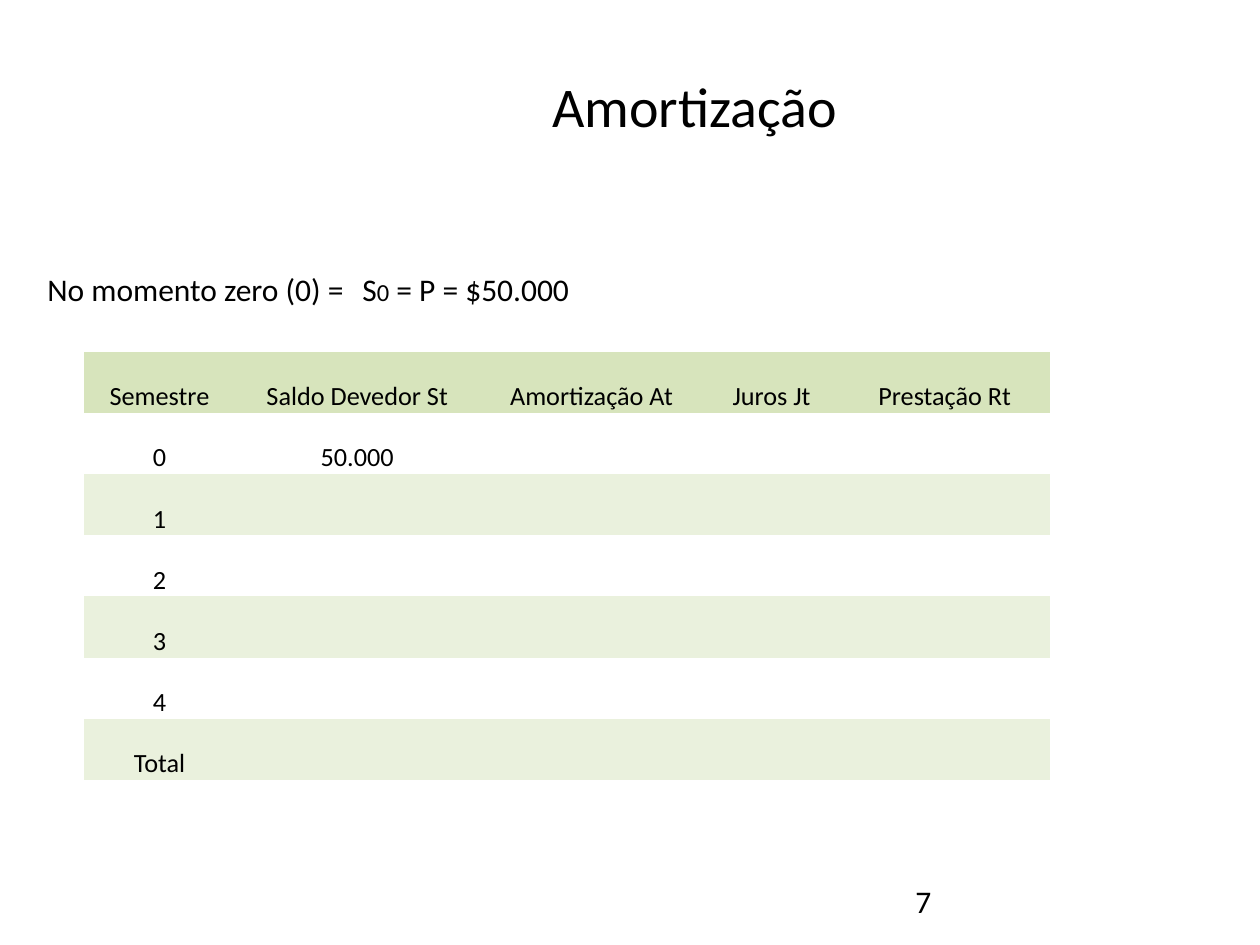
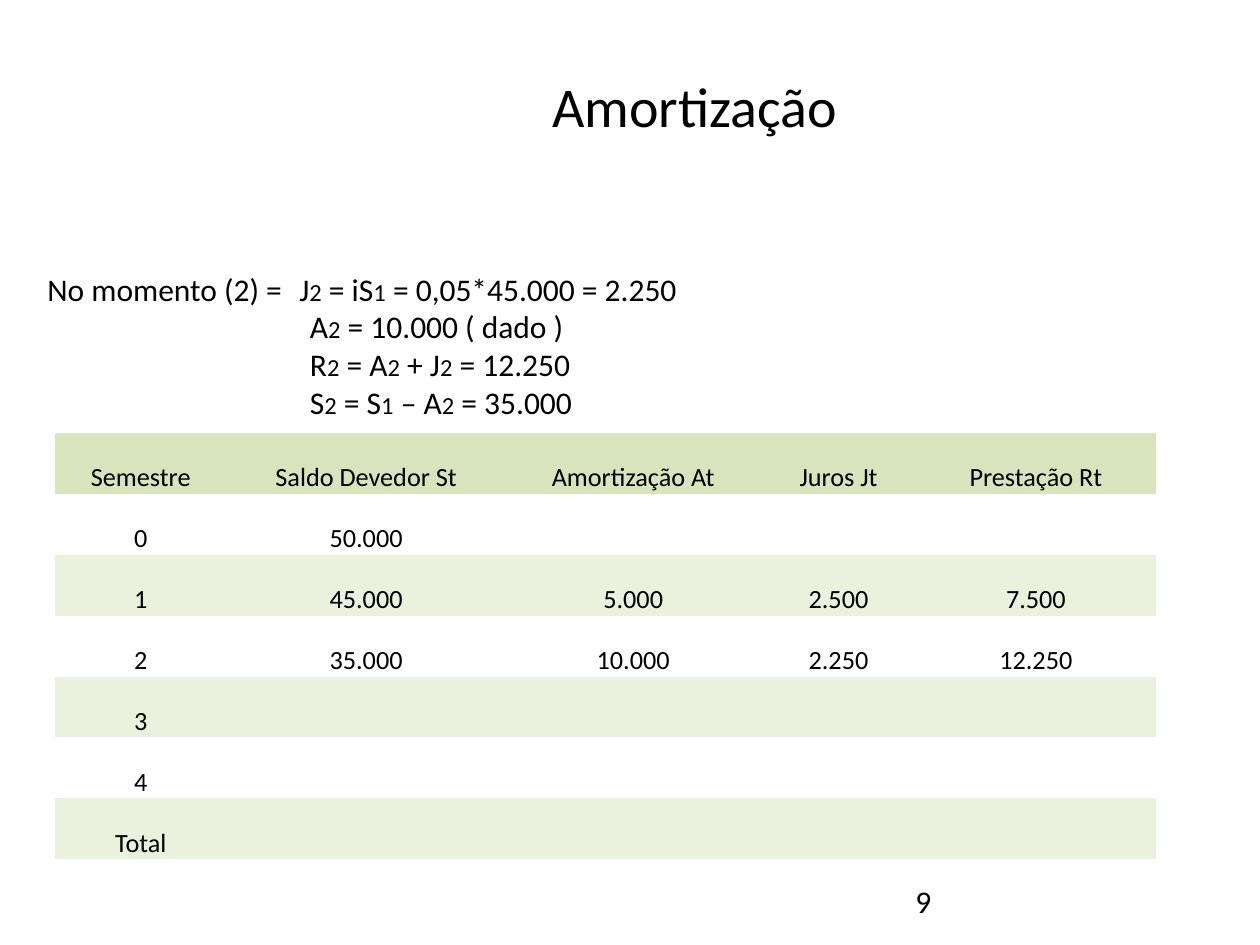
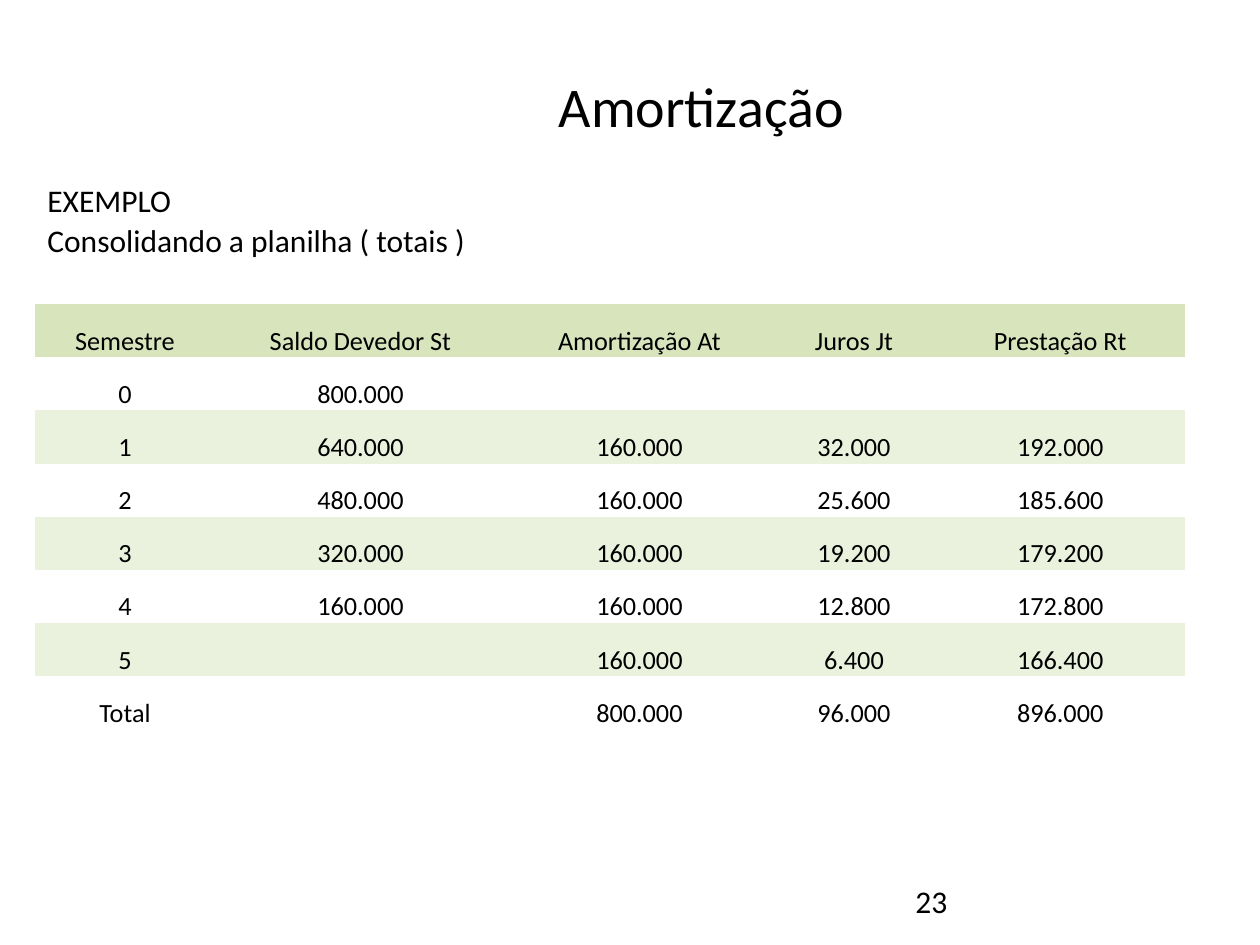
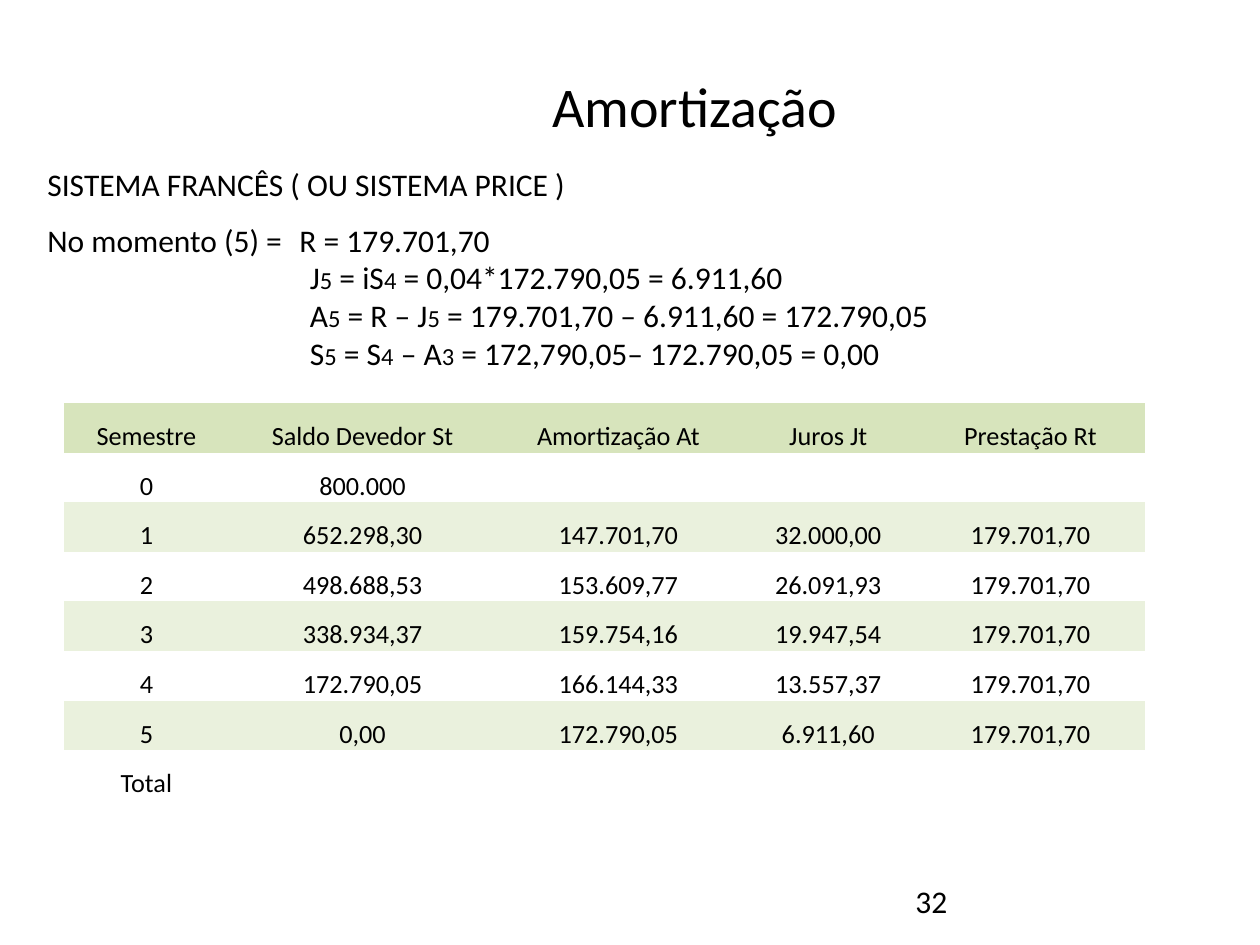
from collections import namedtuple
from dataclasses import dataclass

from pptx import Presentation
from pptx.dml.color import RGBColor
from pptx.enum.text import MSO_ANCHOR as Anchor, PP_ALIGN as Align
from pptx.oxml.ns import qn
from pptx.oxml.xmlchemy import OxmlElement
from pptx.util import Pt

Box = namedtuple("Box", "left top width height")


@dataclass(frozen=True)
class Theme:
    font: str = "Calibri"
    ink: RGBColor = RGBColor(0, 0, 0)
    header: RGBColor = RGBColor(0xD7, 0xE4, 0xBC)
    band: RGBColor = RGBColor(0xEA, 0xF1, 0xDD)
    title_size: int = 32
    body_size: int = 18
    subscript_size: int = 14
    table_size: int = 15


THEME = Theme()
TITLE_BOX = Box(65.5, 37.5, 663, 62.5)
NUMBER_BOX = Box(516, 500.5, 168, 29)
BODY_LEFT, BODY_WIDTH = 20, 692
FORMULA_INDENT = 150
NO_GRID_STYLE = "{2D5ABB26-0587-4C30-8999-92F81FD0307C}"
HEADINGS = ["Semestre", "Saldo Devedor St", "Amortização At", "Juros Jt", "Prestação Rt"]
COLUMN_WEIGHTS = (1.2, 1.94, 1.78, 1.08, 1.67)


def write_paragraph(paragraph, text, size=THEME.body_size, align=Align.LEFT, indent=0, tab=None):
    """Write text; the parts between underscores are set as small indices."""
    paragraph.alignment = align
    properties = paragraph._p.get_or_add_pPr()
    properties.set("marL", str(Pt(indent)))
    properties.set("indent", "0")
    if tab:
        tab_list = OxmlElement("a:tabLst")
        stop = OxmlElement("a:tab")
        stop.set("pos", str(Pt(tab)))
        stop.set("algn", "l")
        tab_list.append(stop)
        properties.append(tab_list)
    for index, part in enumerate(text.split("_")):
        if part:
            run = paragraph.add_run()
            run.text = part
            run.font.name = THEME.font
            run.font.size = Pt(THEME.subscript_size if index % 2 else size)
            run.font.color.rgb = THEME.ink


def add_text(slide, box, lines, tab=None, hanging=0, **style):
    """Add a text box; lines after the first are indented by hanging."""
    frame = slide.shapes.add_textbox(*map(Pt, box)).text_frame
    frame.word_wrap = True
    for index, line in enumerate(lines):
        paragraph = frame.add_paragraph() if index else frame.paragraphs[0]
        if index:
            write_paragraph(paragraph, line, **{**style, "indent": hanging})
        else:
            write_paragraph(paragraph, line, tab=tab, **style)


def add_body(slide, top, height, *lines, **style):
    add_text(slide, Box(BODY_LEFT, top, BODY_WIDTH, height), lines, **style)


def add_schedule(slide, box, rows, weights=COLUMN_WEIGHTS):
    """Add the amortization table, with every second row after the header shaded."""
    rows = [HEADINGS, *rows]
    graphic = slide.shapes.add_table(len(rows), len(HEADINGS), *map(Pt, box))
    next(graphic._element.iter(qn("a:tableStyleId"))).text = NO_GRID_STYLE
    table = graphic.table
    table.first_row = table.horz_banding = False
    for column, weight in zip(table.columns, weights):
        column.width = Pt(box.width * weight / sum(weights))
    for row_index, values in enumerate(rows):
        table.rows[row_index].height = Pt(box.height / len(rows))
        for column_index in range(len(HEADINGS)):
            cell = table.cell(row_index, column_index)
            cell.vertical_anchor = Anchor.BOTTOM
            cell.margin_left = cell.margin_right = cell.margin_top = Pt(0.7)
            cell.margin_bottom = 0
            if row_index % 2:
                cell.fill.background()
            else:
                cell.fill.solid()
                cell.fill.fore_color.rgb = THEME.band if row_index else THEME.header
            value = values[column_index] if column_index < len(values) else ""
            write_paragraph(cell.text_frame.paragraphs[0], value,
                            size=THEME.table_size, align=Align.CENTER)


def add_slide(presentation, number, title_indent=0):
    slide = presentation.slides.add_slide(presentation.slide_layouts[6])
    add_text(slide, NUMBER_BOX, [number])
    add_text(slide, TITLE_BOX, ["Amortização"], size=THEME.title_size,
             align=Align.CENTER, indent=title_indent)
    return slide


def build_moment_zero(presentation):
    slide = add_slide(presentation, "7")
    add_body(slide, 150.5, 51, "No momento zero (0) =\tS_0_ = P = $50.000", tab=185.5)
    add_schedule(slide, Box(48, 201, 552, 244.8),
                 [["0", "50.000"], ["1"], ["2"], ["3"], ["4"], ["Total"]])


def build_moment_two(presentation):
    slide = add_slide(presentation, "9")
    add_body(slide, 150.5, 116.5,
             "No momento (2) =\tJ_2_ = iS_1_ = 0,05*45.000 = 2.250",
             "A_2_ = 10.000 ( dado )",
             "R_2_ = A_2_ + J_2_ = 12.250",
             "S_2_ = S_1_ – A_2_ = 35.000",
             tab=FORMULA_INDENT, hanging=FORMULA_INDENT)
    add_schedule(slide, Box(31.2, 247.5, 629.3, 243.6), [
        ["0", "50.000"],
        ["1", "45.000", "5.000", "2.500", "7.500"],
        ["2", "35.000", "10.000", "2.250", "12.250"],
        ["3"], ["4"], ["Total"],
    ])


def build_totals(presentation):
    slide = add_slide(presentation, "23", title_indent=7.5)
    add_body(slide, 100, 51, "EXEMPLO")
    add_body(slide, 122.5, 51, "Consolidando a planilha ( totais )")
    add_schedule(slide, Box(20, 173.7, 657.5, 243.2), [
        ["0", "800.000"],
        ["1", "640.000", "160.000", "32.000", "192.000"],
        ["2", "480.000", "160.000", "25.600", "185.600"],
        ["3", "320.000", "160.000", "19.200", "179.200"],
        ["4", "160.000", "160.000", "12.800", "172.800"],
        ["5", "", "160.000", "6.400", "166.400"],
        ["Total", "", "800.000", "96.000", "896.000"],
    ])


def build_french_system(presentation):
    slide = add_slide(presentation, "32")
    add_body(slide, 90.5, 94.5, "SISTEMA FRANCÊS ( OU SISTEMA PRICE )")
    add_body(slide, 122.5, 116.5,
             "No momento (5) =\tR = 179.701,70",
             "J_5_ = iS_4_ = 0,04*172.790,05 = 6.911,60",
             "A_5_ = R – J_5_ = 179.701,70 – 6.911,60 = 172.790,05",
             "S_5_ = S_4_ – A_3_ = 172,790,05– 172.790,05 = 0,00",
             tab=FORMULA_INDENT + 4, hanging=FORMULA_INDENT)
    payment = "179.701,70"
    add_schedule(slide, Box(36.5, 230.3, 618, 226.8), [
        ["0", "800.000"],
        ["1", "652.298,30", "147.701,70", "32.000,00", payment],
        ["2", "498.688,53", "153.609,77", "26.091,93", payment],
        ["3", "338.934,37", "159.754,16", "19.947,54", payment],
        ["4", "172.790,05", "166.144,33", "13.557,37", payment],
        ["5", "0,00", "172.790,05", "6.911,60", payment],
        ["Total"],
    ], weights=(1.31, 2.12, 1.94, 1.39, 1.82))


def main():
    presentation = Presentation()
    presentation.slide_width, presentation.slide_height = Pt(720), Pt(540)
    build_moment_zero(presentation)
    build_moment_two(presentation)
    build_totals(presentation)
    build_french_system(presentation)
    presentation.save("out.pptx")


if __name__ == "__main__":
    main()
